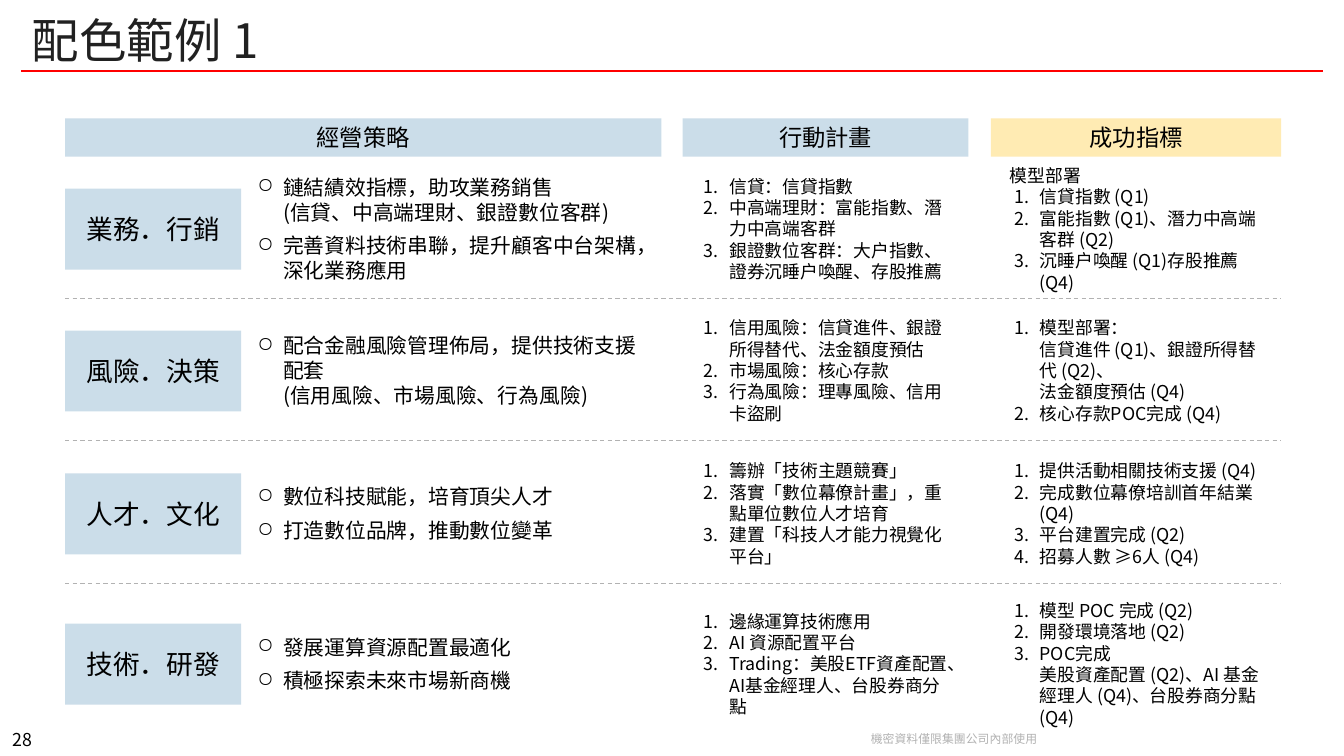
from lxml import etree
from pptx import Presentation
from pptx.dml.color import RGBColor
from pptx.enum.dml import MSO_LINE
from pptx.enum.shapes import MSO_CONNECTOR, MSO_SHAPE
from pptx.enum.text import MSO_ANCHOR, PP_ALIGN
from pptx.oxml.ns import qn
from pptx.util import Inches, Pt

COLORS = {
    "text": "000000",
    "title": "212121",
    "blue": "CBDDE9",
    "yellow": "FFEBB3",
    "red": "FF0000",
    "gray": "B2B2B2",
}
MAIN_FONT = "Noto Sans CJK TC"
FOOTER_FONT = "Noto Sans CJK SC"

HEADERS = [
    ("經營策略", 0.61, 5.59, "blue"),
    ("行動計畫", 6.4, 2.68, "blue"),
    ("成功指標", 9.29, 2.72, "yellow"),
]
DIVIDER_TOPS = [2.8, 4.13, 5.47]
ROWS = [
    {
        "top": 1.6,
        "label": "業務．行銷",
        "strategies": [
            "鏈結績效指標，助攻業務銷售\n(信貸、中高端理財、銀證數位客群)",
            "完善資料技術串聯，提升顧客中台架構，深化業務應用",
        ],
        "actions": [
            "信貸：信貸指數",
            "中高端理財：富能指數、潛力中高端客群",
            "銀證數位客群：大戶指數、證券沉睡戶喚醒、存股推薦",
        ],
        "heading": ["模型部署"],
        "metrics": [
            "信貸指數 (Q1)",
            "富能指數 (Q1)、潛力中高端客群 (Q2)",
            "沉睡戶喚醒 (Q1)存股推薦 (Q4)",
        ],
    },
    {
        "top": 2.93,
        "label": "風險．決策",
        "strategies": [
            "配合金融風險管理佈局，提供技術支援配套\n(信用風險、市場風險、行為風險)",
        ],
        "actions": [
            "信用風險：信貸進件、銀證所得替代、法金額度預估",
            "市場風險：核心存款",
            "行為風險：理專風險、信用卡盜刷",
        ],
        "heading": [],
        "metrics": [
            "模型部署：\n信貸進件 (Q1)、銀證所得替代 (Q2)、\n法金額度預估 (Q4)",
            "核心存款POC完成 (Q4)",
        ],
    },
    {
        "top": 4.27,
        "label": "人才．文化",
        "strategies": ["數位科技賦能，培育頂尖人才", "打造數位品牌，推動數位變革"],
        "actions": [
            "籌辦「技術主題競賽」",
            "落實「數位幕僚計畫」，重點單位數位人才培育",
            "建置「科技人才能力視覺化平台」",
        ],
        "heading": [],
        "metrics": [
            "提供活動相關技術支援 (Q4)",
            "完成數位幕僚培訓首年結業 (Q4)",
            "平台建置完成 (Q2)",
            "招募人數 ≥6人 (Q4)",
        ],
    },
    {
        "top": 5.68,
        "label": "技術．研發",
        "strategies": ["發展運算資源配置最適化", "積極探索未來市場新商機"],
        "actions": [
            "邊緣運算技術應用",
            "AI 資源配置平台",
            "Trading：美股ETF資產配置、AI基金經理人、台股券商分點",
        ],
        "heading": [],
        "metrics": [
            "模型 POC 完成 (Q2)",
            "開發環境落地 (Q2)",
            "POC完成\n美股資產配置 (Q2)、AI 基金經理人 (Q4)、台股券商分點 (Q4)",
        ],
    },
]


def write_paragraph(paragraph, text, size, color="text", font=MAIN_FONT, align=PP_ALIGN.LEFT):
    paragraph.text = text
    paragraph.alignment = align
    for run in paragraph.runs:
        run.font.size = Pt(size)
        run.font.color.rgb = RGBColor.from_string(COLORS[color])
        run.font.name = font
        east_asian = etree.SubElement(run.font._element, qn("a:ea"))
        east_asian.set("typeface", font)


def add_bullet(paragraph, tag, **attributes):
    properties = paragraph._p.get_or_add_pPr()
    properties.set("marL", str(Inches(0.28)))
    properties.set("indent", str(Inches(-0.24)))
    bullet_color = etree.SubElement(properties, qn("a:buClr"))
    etree.SubElement(bullet_color, qn("a:srgbClr")).set("val", COLORS["text"])
    bullet = etree.SubElement(properties, qn(tag))
    for name, value in attributes.items():
        bullet.set(name, value)


def set_frame(shape, wrap=True, anchor=MSO_ANCHOR.MIDDLE):
    text_frame = shape.text_frame
    text_frame.word_wrap = wrap
    text_frame.vertical_anchor = anchor
    return text_frame


def add_paragraphs(text_frame, count):
    for _ in range(count - 1):
        text_frame.add_paragraph()
    return text_frame.paragraphs


def add_text(slide, box, text, size, wrap=True, anchor=MSO_ANCHOR.MIDDLE, **style):
    shape = slide.shapes.add_textbox(*map(Inches, box))
    paragraph = set_frame(shape, wrap, anchor).paragraphs[0]
    write_paragraph(paragraph, text, size, **style)
    return paragraph


def add_block(slide, box, text, size, fill):
    shape = slide.shapes.add_shape(MSO_SHAPE.RECTANGLE, *map(Inches, box))
    shape.shadow.inherit = False
    shape.fill.solid()
    shape.fill.fore_color.rgb = RGBColor.from_string(COLORS[fill])
    shape.line.fill.background()
    write_paragraph(set_frame(shape).paragraphs[0], text, size, align=PP_ALIGN.CENTER)


def add_strategies(slide, box, strategies):
    shape = slide.shapes.add_shape(MSO_SHAPE.ROUNDED_RECTANGLE, *map(Inches, box))
    shape.adjustments[0] = 0.05
    shape.shadow.inherit = False
    shape.fill.background()
    shape.line.fill.background()
    paragraphs = add_paragraphs(set_frame(shape), len(strategies))
    for index, (paragraph, text) in enumerate(zip(paragraphs, strategies)):
        add_bullet(paragraph, "a:buChar", char="○")
        write_paragraph(paragraph, text, 14)
        if index:
            paragraph.space_before = Pt(6)


def add_numbered_list(slide, box, items, heading=()):
    shape = slide.shapes.add_textbox(*map(Inches, box))
    texts = [*heading, *items]
    paragraphs = add_paragraphs(set_frame(shape), len(texts))
    for index, (paragraph, text) in enumerate(zip(paragraphs, texts)):
        if index >= len(heading):
            add_bullet(paragraph, "a:buAutoNum", type="arabicPeriod")
        write_paragraph(paragraph, text, 12)


def add_rule(slide, left, right, top, color, width, dash=None):
    connector = slide.shapes.add_connector(
        MSO_CONNECTOR.STRAIGHT, Inches(left), Inches(top), Inches(right), Inches(top)
    )
    connector.line.color.rgb = RGBColor.from_string(COLORS[color])
    connector.line.width = Pt(width)
    if dash:
        connector.line.dash_style = dash
    etree.SubElement(connector._element.spPr, qn("a:effectLst"))


def main():
    presentation = Presentation()
    presentation.slide_width = Inches(12.6)
    presentation.slide_height = Inches(7.09)
    slide = presentation.slides.add_slide(presentation.slide_layouts[6])

    page_number = add_text(slide, (0, 6.82, 0.42, 0.26), "28", 12, wrap=False,
                           anchor=MSO_ANCHOR.BOTTOM, align=PP_ALIGN.CENTER)
    page_number.line_spacing = 0.83
    footer = add_text(slide, (8.05, 6.81, 1.79, 0.23), "機密資料僅限集團公司內部使用", 8,
                      wrap=False, color="gray", font=FOOTER_FONT, align=PP_ALIGN.CENTER)
    footer.line_spacing = Pt(9.6)
    add_rule(slide, 0.2, 12.4, 0.67, "red", 1.25)
    add_text(slide, (0.2, 0.08, 12.21, 0.59), "配色範例 1", 32, color="title")

    for text, left, width, fill in HEADERS:
        add_block(slide, (left, 1.11, width, 0.36), text, 15.7, fill)
    for top in DIVIDER_TOPS:
        add_rule(slide, 0.61, 12.01, top, "gray", 0.75, MSO_LINE.DASH)
    for row in ROWS:
        top = row["top"]
        add_block(slide, (0.61, top + 0.17, 1.65, 0.76), row["label"], 18, "blue")
        add_strategies(slide, (2.26, top + 0.01, 3.9, 1.07), row["strategies"])
        add_numbered_list(slide, (6.46, top, 2.62, 1.09), row["actions"])
        add_numbered_list(slide, (9.37, top, 2.64, 1.09), row["metrics"], row["heading"])

    presentation.save("out.pptx")


if __name__ == "__main__":
    main()
